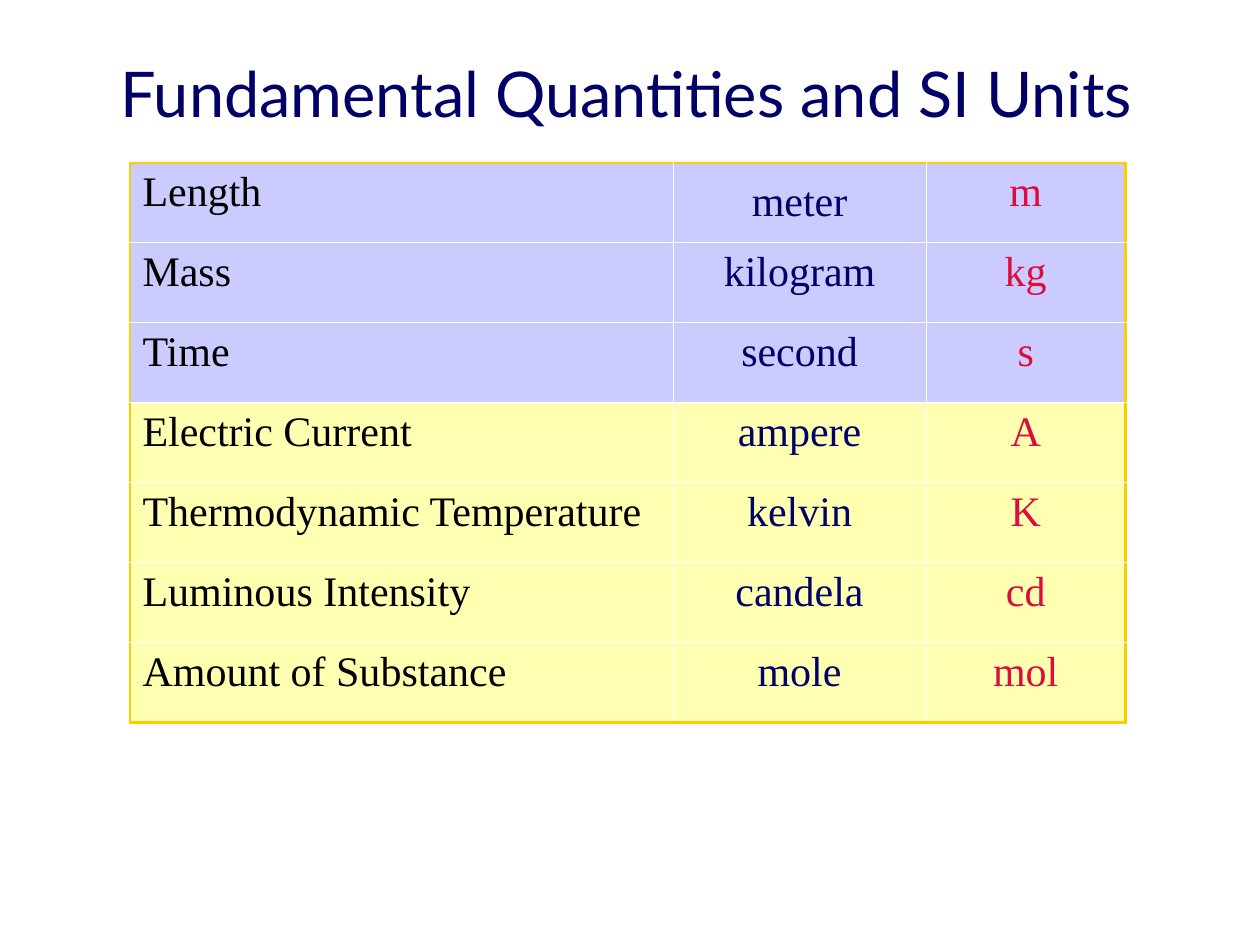
from lxml.etree import SubElement
from pptx import Presentation
from pptx.dml.color import RGBColor
from pptx.enum.text import MSO_ANCHOR, PP_ALIGN
from pptx.oxml.ns import qn
from pptx.util import Cm, Pt

QUANTITIES = [
    ("Length", "meter", "m"),
    ("Mass", "kilogram", "kg"),
    ("Time", "second", "s"),
    ("Electric Current", "ampere", "A"),
    ("Thermodynamic Temperature", "kelvin", "K"),
    ("Luminous Intensity", "candela", "cd"),
    ("Amount of Substance", "mole", "mol"),
]
MECHANICAL_ROWS = 3
COL_WIDTHS = (10.95, 5.1, 4.02)
COL_COLORS = ("000000", "000066", "DC0C3E")
NAVY, GOLD, WHITE = "000066", "FFCC00", "FFFFFF"
LILAC, YELLOW = "9999FF", "FFFF66"


def rgb(color):
    return RGBColor.from_string(color)


def style_paragraph(p, font, size, color, align):
    p.alignment = align
    p.font.name = font
    p.font.size = Pt(size)
    p.font.color.rgb = rgb(color)


def add_title(slide, text, left, top, width, height):
    sp = slide.shapes.add_textbox(Cm(left), Cm(top), Cm(width), Cm(height))
    tf = sp.text_frame
    tf.word_wrap = True
    tf.vertical_anchor = MSO_ANCHOR.MIDDLE
    p = tf.paragraphs[0]
    p.text = text
    style_paragraph(p, "Lato", 36, NAVY, PP_ALIGN.CENTER)


def set_borders(cell, outer_sides):
    """Gold lines on the sides at the table's edge, thin white ones elsewhere."""
    tcPr = cell._tc.get_or_add_tcPr()
    for side in "LRTB":
        color, width = (GOLD, 1.47) if side in outer_sides else (WHITE, 0.45)
        ln = SubElement(tcPr, qn(f"a:ln{side}"), w=str(Pt(width)))
        fill = SubElement(ln, qn("a:solidFill"))
        SubElement(fill, qn("a:srgbClr"), val=color)


def set_half_transparent_fill(cell, color):
    cell.fill.solid()
    cell.fill.fore_color.rgb = rgb(color)
    clr = cell._tc.tcPr.find(qn("a:solidFill")).find(qn("a:srgbClr"))
    SubElement(clr, qn("a:alpha"), val="50000")


def add_units_table(slide, left, top, width, height):
    n_rows, n_cols = len(QUANTITIES), len(COL_WIDTHS)
    table = slide.shapes.add_table(
        n_rows, n_cols, Cm(left), Cm(top), Cm(width), Cm(height)).table
    table.first_row = table.horz_banding = False
    for col, col_width in zip(table.columns, COL_WIDTHS):
        col.width = Cm(col_width)
    for i, row in enumerate(QUANTITIES):
        table.rows[i].height = Cm(height / n_rows)
        for j, text in enumerate(row):
            cell = table.cell(i, j)
            edges = {"L": j == 0, "R": j == n_cols - 1,
                     "T": i == 0, "B": i == n_rows - 1}
            set_borders(cell, [side for side in edges if edges[side]])
            set_half_transparent_fill(
                cell, LILAC if i < MECHANICAL_ROWS else YELLOW)
            p = cell.text_frame.paragraphs[0]
            p.text = text
            style_paragraph(p, "Times New Roman", 24, COL_COLORS[j],
                            PP_ALIGN.CENTER if j else PP_ALIGN.LEFT)
    table.cell(0, 1).vertical_anchor = MSO_ANCHOR.MIDDLE


def main():
    prs = Presentation()
    prs.slide_width, prs.slide_height = Cm(25.4), Cm(19.05)
    slide = prs.slides.add_slide(prs.slide_layouts[6])
    add_title(slide, "Fundamental Quantities and SI Units", 1.2, 0.6, 22.86, 2.54)
    add_units_table(slide, 2.62, 3.28, sum(COL_WIDTHS), 11.29)
    prs.save("out.pptx")


if __name__ == "__main__":
    main()
